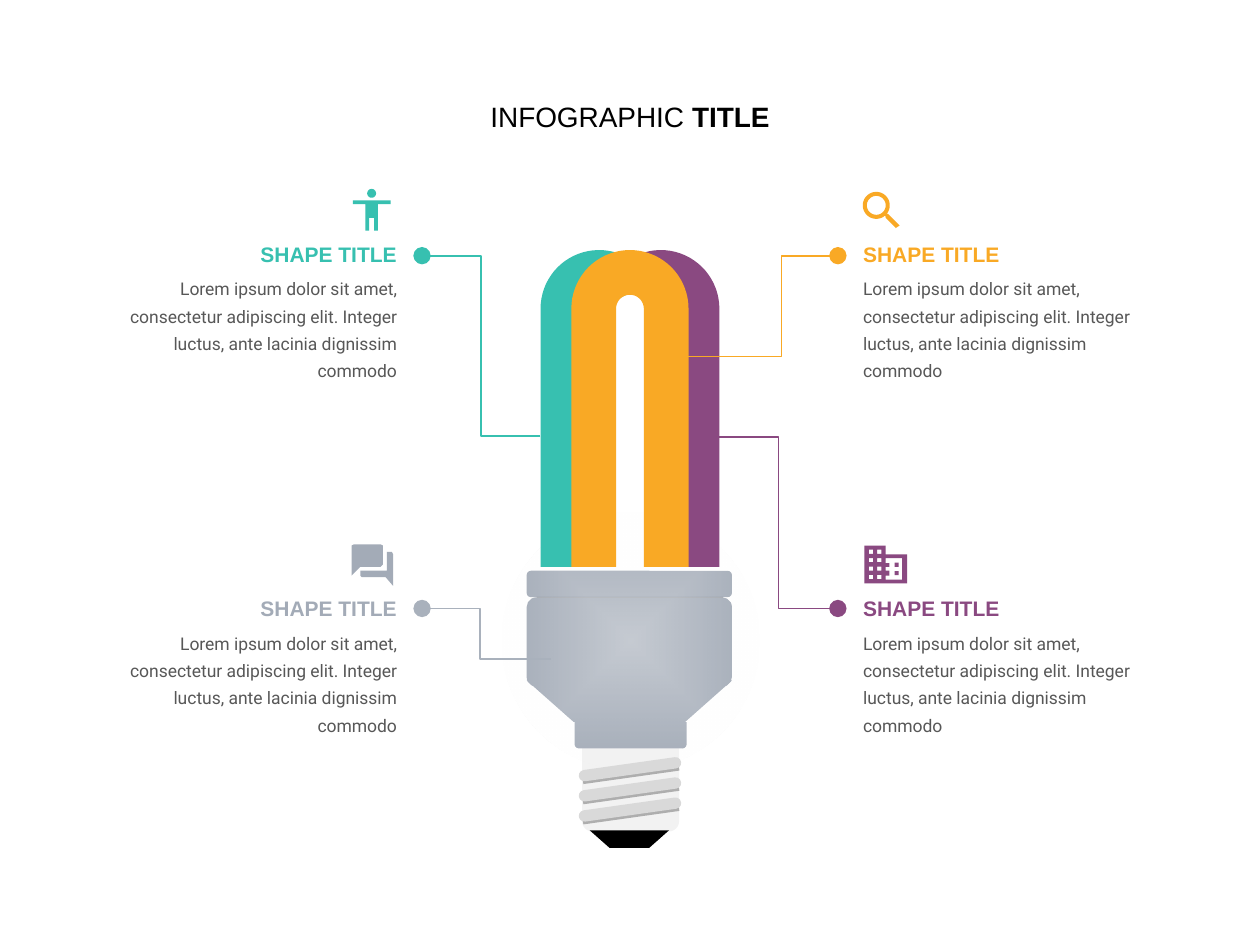
"""Build a light bulb infographic slide with four labelled callouts."""
from math import cos, radians, sin

from lxml.etree import SubElement
from pptx import Presentation
from pptx.dml.color import RGBColor
from pptx.enum.shapes import MSO_CONNECTOR as Link, MSO_SHAPE as Kind
from pptx.enum.text import MSO_ANCHOR as Anchor, MSO_AUTO_SIZE as Fit, PP_ALIGN as Align
from pptx.oxml import parse_xml
from pptx.oxml.ns import nsdecls, qn
from pptx.util import Inches, Pt

HUES = {"teal": "37C0B0", "gold": "F9A925", "plum": "8A4981", "grey": "A3ABB7",
        "wire": "A9B1BC", "pale": "F2F2F2", "thread": "D9D9D9",
        "black": "000000", "white": "FFFFFF"}
TITLE = [("INFOGRAPHIC", False), (" TITLE", True)]
HEAD = "SHAPE TITLE"
BODY = ("Lorem ipsum dolor sit amet, consectetur adipiscing elit. "
        "Integer luctus, ante lacinia dignissim commodo")
NOTES = [(6.65, 4.73, "plum", Align.LEFT), (6.65, 1.92, "gold", Align.LEFT),
         (0.65, 4.73, "grey", Align.RIGHT), (0.65, 1.92, "teal", Align.RIGHT)]
WIRES = [((5.71, 3.47), (6.65, 4.83), "plum", 0.5),
         ((5.37, 2.83), (6.65, 2.03), "gold", 0.65),
         ((4.29, 3.46), (3.35, 2.03), "teal", 0.5),
         ((4.37, 5.23), (3.35, 4.83), "wire", 0.55)]
FOOT = [(Kind.ROUNDED_RECTANGLE, (4.62, 5.84, 0.77, 0.76), "pale", 0.11, 0),
        (Kind.TRAPEZOID, (4.68, 6.59, 0.63, 0.14), "black", 1.13, 180),
        (Kind.ROUNDED_RECTANGLE, (4.18, 4.53, 1.63, 0.21), "grey", None, 0),
        (Kind.ROUNDED_RECTANGLE, (4.18, 4.74, 1.63, 0.71), "grey", 0.11, 0),
        (Kind.TRAPEZOID, (4.18, 5.4, 1.63, 0.33), "grey", 1.13, 180),
        (Kind.ROUND_2_SAME_RECTANGLE, (4.56, 5.73, 0.89, 0.21), "grey", None, 180)]


def arc(x, y, r, start, end):
    count = max(2, round(abs(end - start) / 5))
    turns = [radians(start + (end - start) * i / count) for i in range(count + 1)]
    return [(x + r * cos(t), y + r * sin(t)) for t in turns]


def ring(x, y, r):
    return arc(x, y, r, 0, 360)


def box(x, y, size=0.033):
    return [(x, y), (x + size, y), (x + size, y + size), (x, y + size)]


def tube(x, start, end, wide=0.465, thin=0.11, top=2.45, foot=4.5):
    left = [(x - thin, foot), (x - wide, foot)] if start == 180 else []
    right = [(x + wide, foot), (x + thin, foot)] if end == 360 else []
    return left + arc(x, top, wide, start, end) + right + arc(x, top, thin, end, start)


ROWS = [4.363 + 0.067 * i for i in range(4)]
ICONS = [
    ("teal", [ring(2.95, 1.535, 0.035),
              [(3.1, 1.62), (3, 1.62), (3, 1.83), (2.97, 1.83), (2.97, 1.73), (2.93, 1.73),
               (2.93, 1.83), (2.9, 1.83), (2.9, 1.62), (2.8, 1.62), (2.8, 1.59), (3.1, 1.59)]]),
    ("gold", [arc(6.955, 1.63, 0.107, 50, 390)
              + [(7.04, 1.7), (7.05, 1.7), (7.14, 1.79), (7.11, 1.81), (7.03, 1.73), (7.03, 1.72)],
              ring(6.955, 1.63, 0.075)]),
    ("plum", [[(7.03, 4.4), (7.03, 4.33), (6.86, 4.33), (6.86, 4.63), (7.2, 4.63), (7.2, 4.4)],
              *[box(x, y) for x in (6.897, 6.963) for y in ROWS],
              [(7.16, 4.6), (7.03, 4.6), (7.03, 4.57), (7.06, 4.57), (7.06, 4.53), (7.03, 4.53),
               (7.03, 4.5), (7.06, 4.5), (7.06, 4.47), (7.03, 4.47), (7.03, 4.43), (7.16, 4.43)],
              box(7.1, 4.467), box(7.1, 4.533)]),
    ("grey", [[(3.11, 4.38), (3.07, 4.38), (3.07, 4.53), (2.86, 4.53), (2.86, 4.57), (2.87, 4.58),
               (3.06, 4.58), (3.12, 4.65), (3.12, 4.4)],
              [(3.04, 4.48), (3.04, 4.33), (3.02, 4.32), (2.81, 4.32), (2.79, 4.33),
               (2.79, 4.57), (2.86, 4.5), (3.02, 4.5)]]),
]


def rgb(hue):
    return RGBColor.from_string(HUES[hue])


def fade(node, part):
    for tone in node.iter(qn("a:srgbClr")):
        SubElement(tone, qn("a:alpha"), val=str(part * 1000))


def paint(shape, hue):
    shape.shadow.inherit = False
    shape.fill.solid()
    shape.fill.fore_color.rgb = rgb(hue)
    shape.line.fill.background()
    return shape


def draw(shapes, hue, loops):
    pen = None
    for loop in loops:
        pts = [(Inches(x), Inches(y)) for x, y in loop]
        if pen is None:
            pen = shapes.build_freeform(*pts[0])
        else:
            pen.move_to(*pts[0])
        pen.add_line_segments(pts[1:], close=True)
    paint(pen.convert_to_shape(), hue)


def block(shapes, kind, at, hue, adj=None, turn=0):
    shape = paint(shapes.add_shape(kind, *map(Inches, at)), hue)
    if adj is not None:
        shape.adjustments[0] = adj
    shape.rotation = turn
    return shape


def glow(shapes):
    shape = block(shapes, Kind.OVAL, (3.98, 4.06, 2.05, 2.05), "white")
    stops = "".join(
        f'<a:gs pos="{pos}"><a:srgbClr val="{HUES["white"]}"><a:alpha val="{part}"/></a:srgbClr></a:gs>'
        for pos, part in ((0, 38000), (100000, 0)))
    grad = parse_xml(
        f'<a:gradFill {nsdecls("a")} rotWithShape="1"><a:gsLst>{stops}</a:gsLst>'
        '<a:path path="shape"><a:fillToRect l="50000" t="50000" r="50000" b="50000"/>'
        '</a:path></a:gradFill>')
    props = shape.element.spPr
    props.replace(props.find(qn("a:solidFill")), grad)


def wire(shapes, kind, start, end, hue, width):
    line = shapes.add_connector(kind, *map(Inches, start + end))
    line.line.color.rgb = rgb(hue)
    line.line.width = Pt(width)
    SubElement(line.element.spPr, qn("a:effectLst"))
    return line


def bend(shapes, start, end, hue, adj):
    line = wire(shapes, Link.ELBOW, start, end, hue, 1)
    props = line.element.spPr
    guides = props.find(qn("a:prstGeom")).find(qn("a:avLst"))
    SubElement(guides, qn("a:gd"), name="adj1", fmla=f"val {round(adj * 100000)}")
    SubElement(props.find(qn("a:ln")), qn("a:tailEnd"), type="oval", w="lg", len="lg")


def write(para, text, size, font, hue, bold=False):
    run = para.add_run()
    run.text = text
    run.font.size, run.font.name, run.font.bold = Pt(size), font, bold
    run.font.color.rgb = rgb(hue)
    return run


def frame(shape, side, fit, anchor, align):
    text = shape.text_frame
    text.word_wrap, text.auto_size, text.vertical_anchor = True, fit, anchor
    text.margin_left = text.margin_right = Inches(side)
    text.margin_top = text.margin_bottom = 0
    para = text.paragraphs[0]
    para.alignment = align
    return para


def label(shapes, x, y, high, anchor, align):
    shape = shapes.add_textbox(Inches(x), Inches(y), Inches(2.7), Inches(high))
    return frame(shape, 0.2, Fit.SHAPE_TO_FIT_TEXT, anchor, align)


def main():
    deck = Presentation()
    deck.slide_width, deck.slide_height = Inches(10), Inches(7.5)
    shapes = deck.slides.add_slide(deck.slide_layouts[5]).shapes
    title = shapes.title
    title.left, title.top, title.width, title.height = map(Inches, (3.32, 0.84, 3.36, 0.17))
    para = frame(title, 0, Fit.NONE, Anchor.MIDDLE, Align.CENTER)
    for text, bold in TITLE:
        write(para, text, 16, "Arial", "black", bold)

    for hue, loops in ICONS:
        draw(shapes, hue, loops)
    for part in FOOT:
        block(shapes, *part)
    seam = wire(shapes, Link.STRAIGHT, (4.26, 4.74), (5.74, 4.74), "black", 0.5)
    fade(seam.element.spPr, 24)
    glow(shapes)
    draw(shapes, "plum", [tube(5.245, 214, 360)])
    draw(shapes, "teal", [tube(4.755, 180, 333)])
    for x, y, wide, hue, adj, kind in (
            (4.62, 6.08, 0.77, "black", None, Kind.RECTANGLE),
            (4.59, 6.06, 0.82, "thread", 0.5, Kind.ROUNDED_RECTANGLE)):
        for i in range(3):
            band = block(shapes, kind, (x, y + 0.16 * i, wide, 0.09), hue, adj, 352)
            if hue == "black":
                fade(band.element.spPr, 28)

    for x, y, hue, align in NOTES:
        para = label(shapes, x, y + 0.24, 0.85, Anchor.TOP, align)
        para.line_spacing = 1.3
        fade(write(para, BODY, 10, "Roboto", "black").font.fill._xPr, 65)
        para = label(shapes, x, y, 0.2, Anchor.MIDDLE, align)
        write(para, HEAD, 12, "Arial", hue, True)
    for part in WIRES:
        bend(shapes, *part)
    draw(shapes, "gold", [tube(5, 180, 360)])
    deck.save("out.pptx")


if __name__ == "__main__":
    main()
